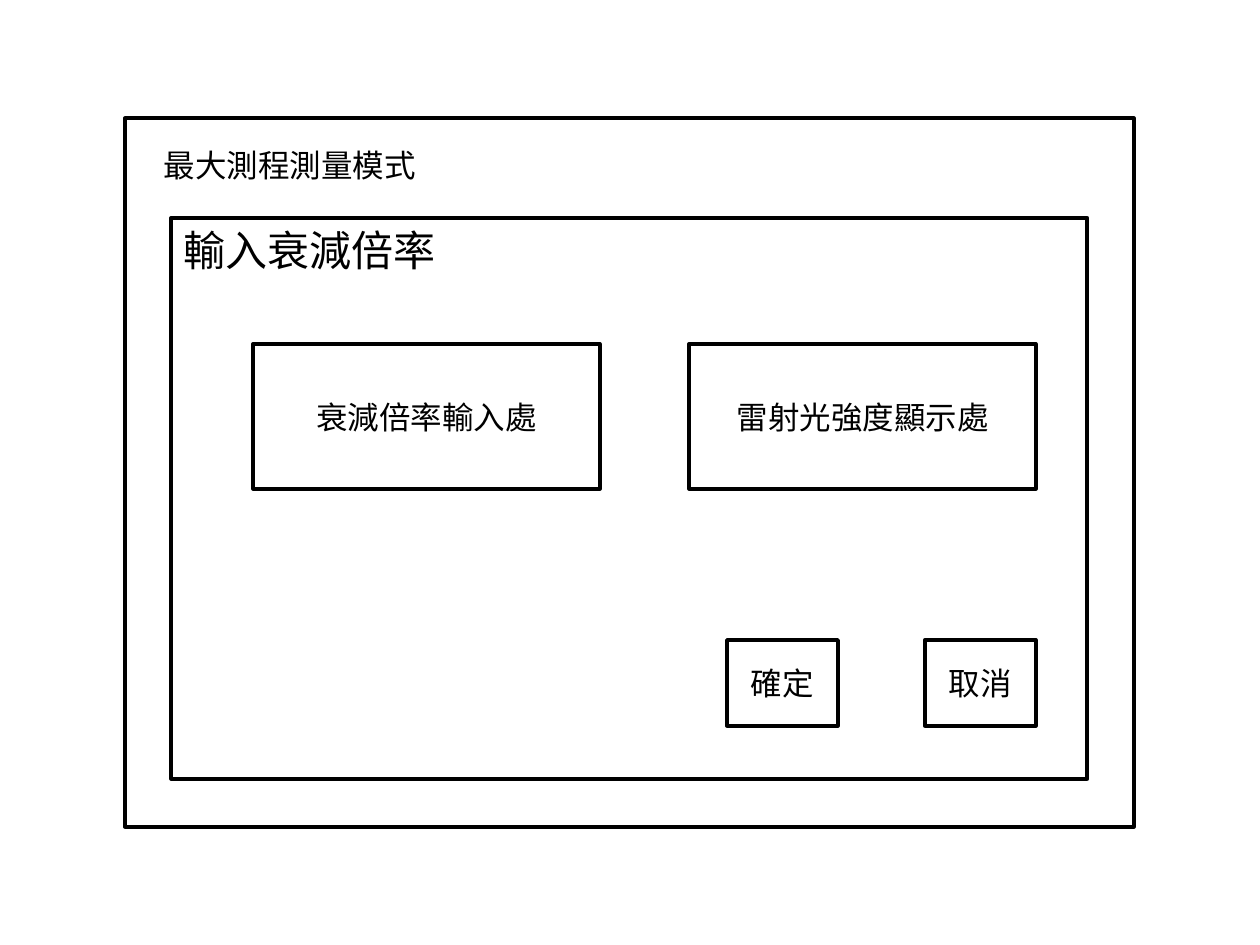
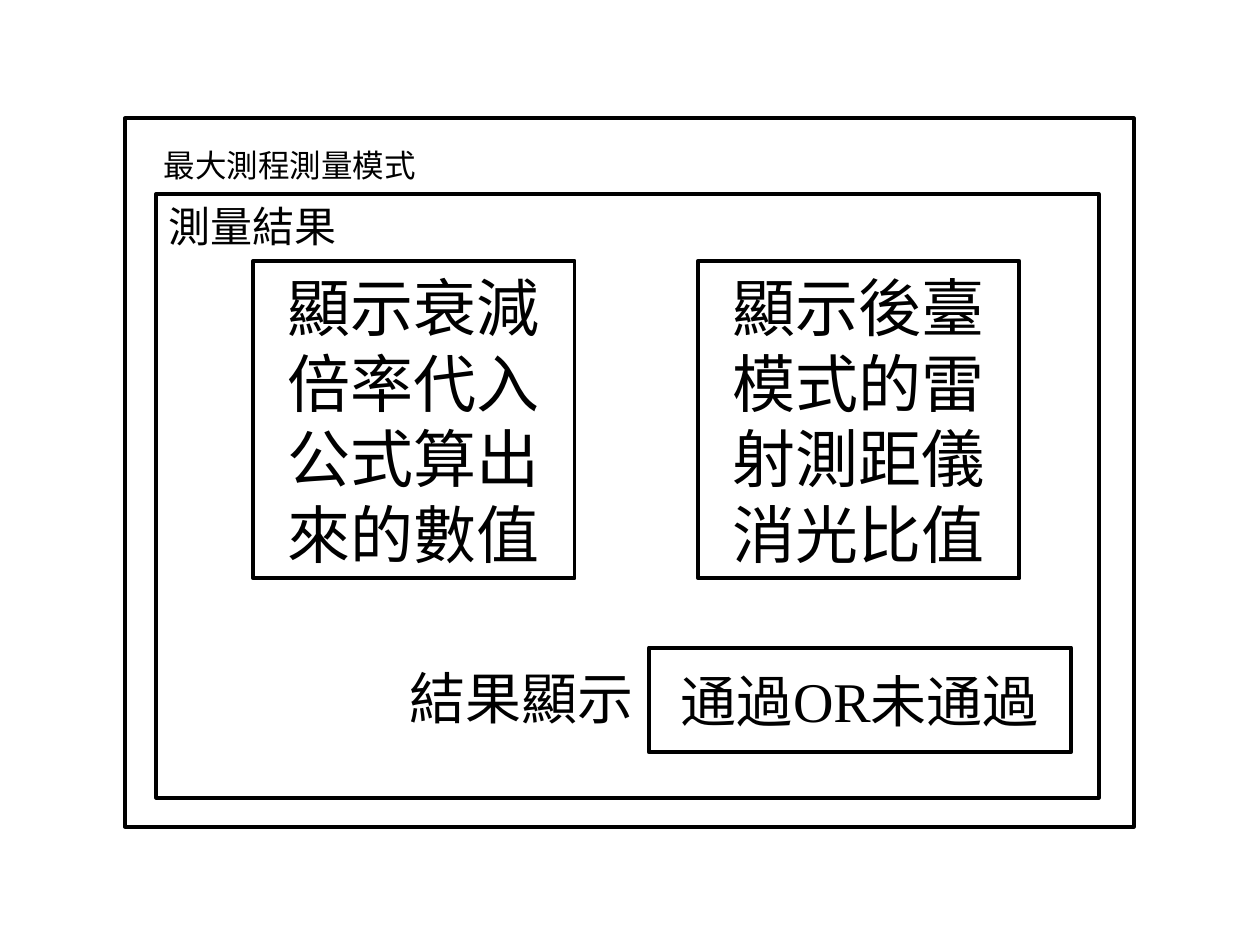
from pptx import Presentation
from pptx.dml.color import RGBColor as Rgb
from pptx.enum.shapes import MSO_SHAPE as Kind
from pptx.enum.text import MSO_ANCHOR as Anchor, MSO_AUTO_SIZE as Auto, PP_ALIGN as Align
from pptx.oxml.ns import qn
from pptx.util import Pt
from lxml.etree import SubElement

INK = {"paper": "FFFFFF", "line": "000000", "text": "000000"}
SANS, SERIF = "Noto Sans CJK SC", "Times New Roman"
FRAME = (71.28, 67.68, 576.72, 404.64)


def inset(box, left, top, width, height):
    """Return a box whose corner is measured from another box."""
    return box[0] + left, box[1] + top, width, height


def write(frame, runs, size, align=Align.CENTER, anchor=Anchor.MIDDLE):
    """Fill a text frame with one paragraph of (text, font) runs."""
    frame.vertical_anchor = anchor
    para = frame.paragraphs[0]
    para.alignment = align
    for text, face in runs:
        run = para.add_run()
        run.text = text
        font = run.font
        font.size, font.name = Pt(size), face
        font.color.rgb = Rgb.from_string(INK["text"])
        SubElement(run._r.get_or_add_rPr(), qn("a:ea")).set("typeface", SANS)


def panel(slide, box):
    """Draw a white outlined rectangle and return its text frame."""
    rect = slide.shapes.add_shape(Kind.RECTANGLE, *map(Pt, box))
    rect.shadow.inherit = False
    rect.fill.solid()
    rect.fill.fore_color.rgb = Rgb.from_string(INK["paper"])
    rect.line.color.rgb = Rgb.from_string(INK["line"])
    rect.line.width = Pt(2.25)
    rect.text_frame.word_wrap = True
    return rect.text_frame


def label(frame, text, size, align):
    """Write one unwrapped line that sizes its own box."""
    frame.word_wrap = False
    frame.auto_size = Auto.SHAPE_TO_FIT_TEXT
    write(frame, [(text, SANS)], size, align, Anchor.TOP)


def row(slide, box, step, texts, size):
    """Draw equal panels side by side, one for each text."""
    left, top, width, height = box
    for i, text in enumerate(texts):
        frame = panel(slide, (left + i * step, top, width, height))
        write(frame, [(text, SANS)], size)


def window(deck, box, inner, name):
    """Add a slide with the mode window and its named inner panel."""
    slide = deck.slides.add_slide(deck.slide_layouts[5])
    panel(slide, box)
    write(panel(slide, inner), [(name, SANS)], 24, Align.LEFT, Anchor.TOP)
    title = slide.shapes.title
    place = inset(box, 14.4, 12.24, 159.84, 28.8)
    title.left, title.top, title.width, title.height = map(Pt, place)
    label(title.text_frame, "最大測程測量模式", 18, Align.CENTER)
    slide.shapes._spTree.append(title._element)
    return slide


def entry(deck, box):
    """Build the slide where the attenuation ratio is entered."""
    inner = inset(box, 26.64, 56.88, 523.44, 320.4)
    slide = window(deck, box, inner, "輸入衰減倍率")
    fields = inset(inner, 46.8, 72, 198, 82.8)
    row(slide, fields, 249.12, ["衰減倍率輸入處", "雷射光強度顯示處"], 18)
    keys = inset(inner, 317.52, 241.2, 63.36, 48.96)
    row(slide, keys, 113.04, ["確定", "取消"], 18)


def result(deck, box):
    """Build the slide that shows the measured values and the verdict."""
    inner = inset(box, 18, 43.2, 538.56, 344.88)
    slide = window(deck, box, inner, "測量結果")
    cards = inset(inner, 55.44, 38.16, 183.6, 181.44)
    row(slide, cards, 254.16,
        ["顯示衰減倍率代入公式算出來的數值", "顯示後臺模式的雷射測距儀消光比值"], 36)
    verdict = panel(slide, inset(inner, 281.52, 259.2, 241.2, 59.76))
    write(verdict, [("通過", SANS), ("OR", SERIF), ("未通過", SANS)], 32)
    place = inset(inner, 137.52, 264.96, 144, 46.08)
    note = slide.shapes.add_textbox(*map(Pt, place))
    label(note.text_frame, "結果顯示", 32, Align.LEFT)


deck = Presentation()
deck.slide_width, deck.slide_height = Pt(720), Pt(540)
entry(deck, FRAME)
result(deck, FRAME)
deck.save("out.pptx")
